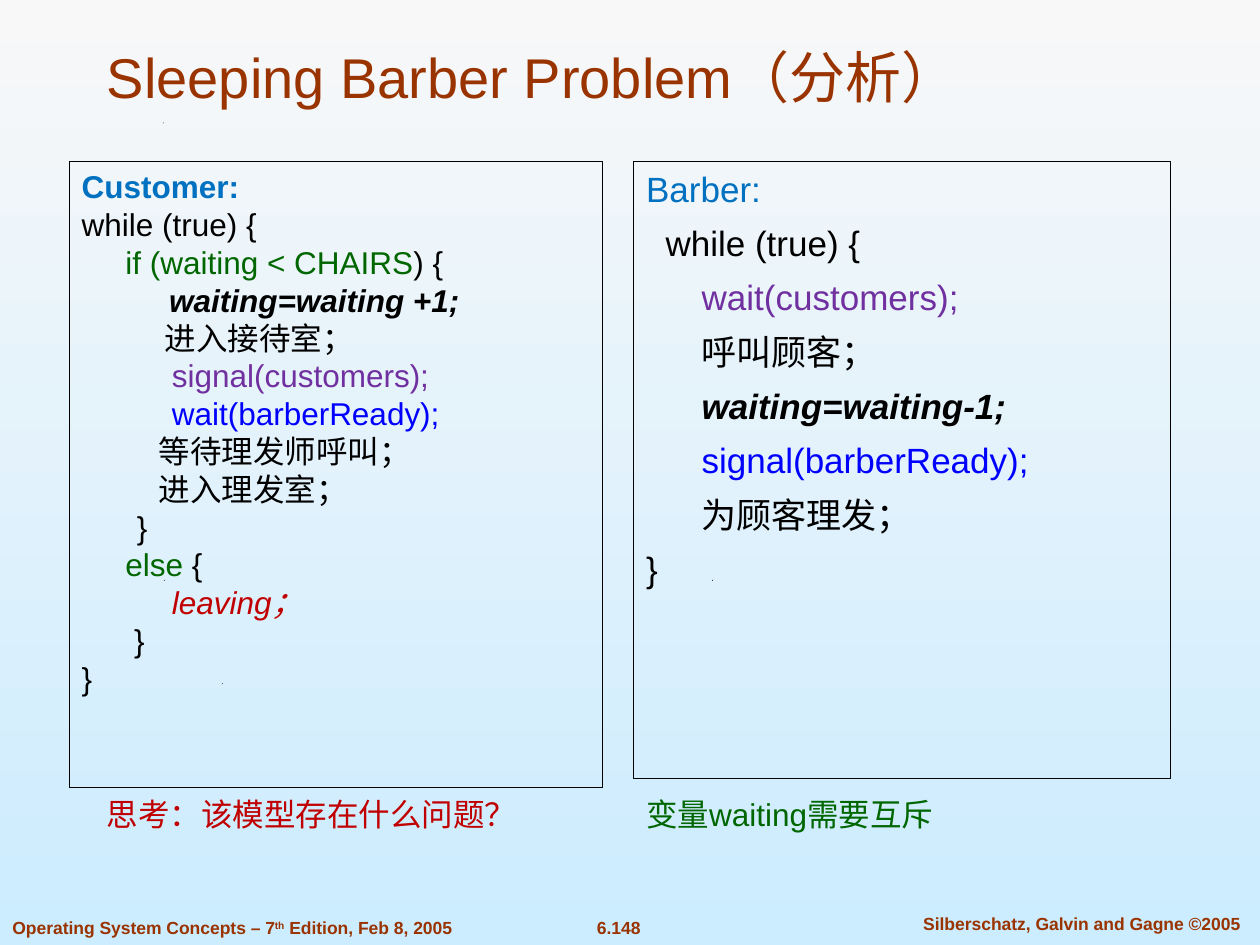
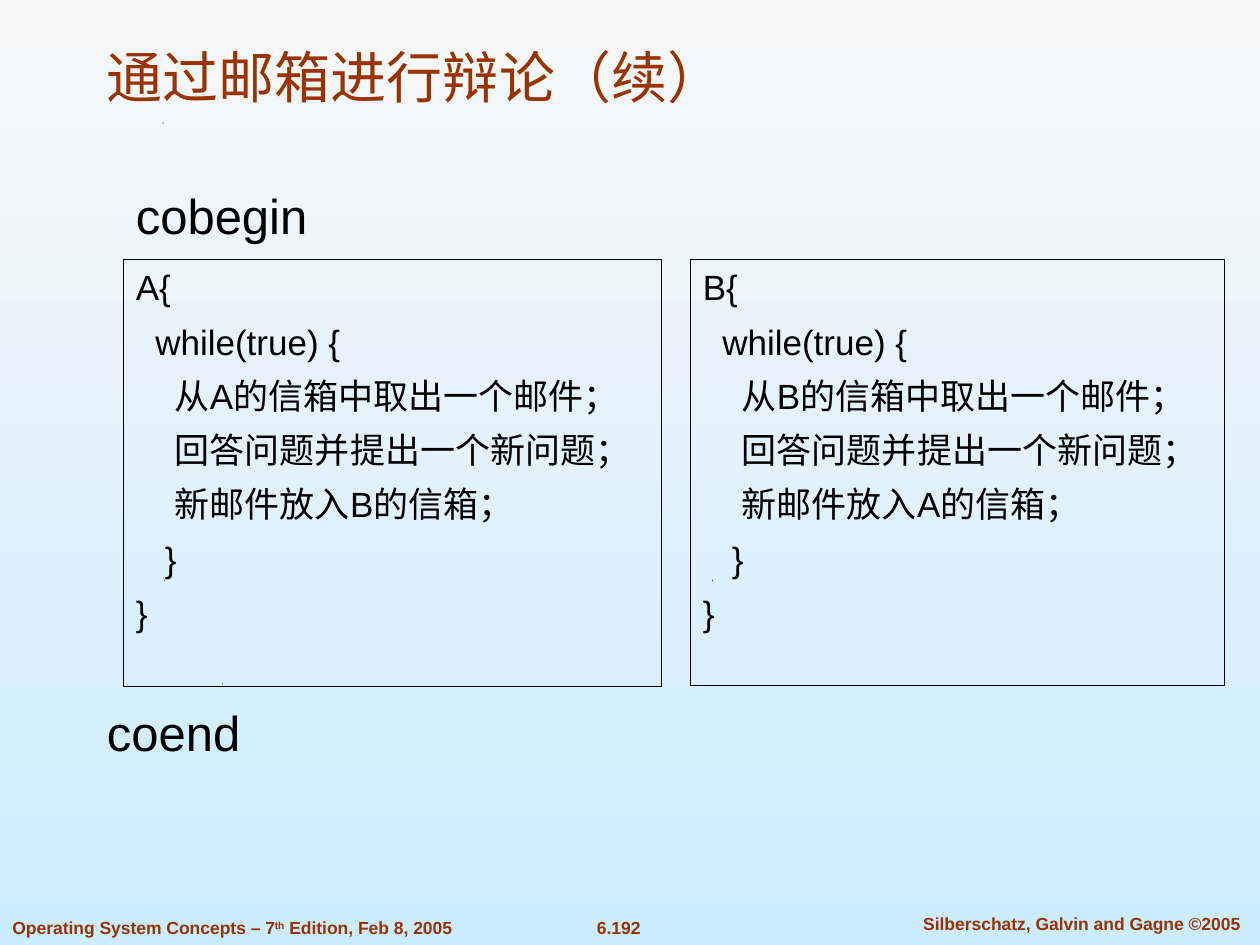
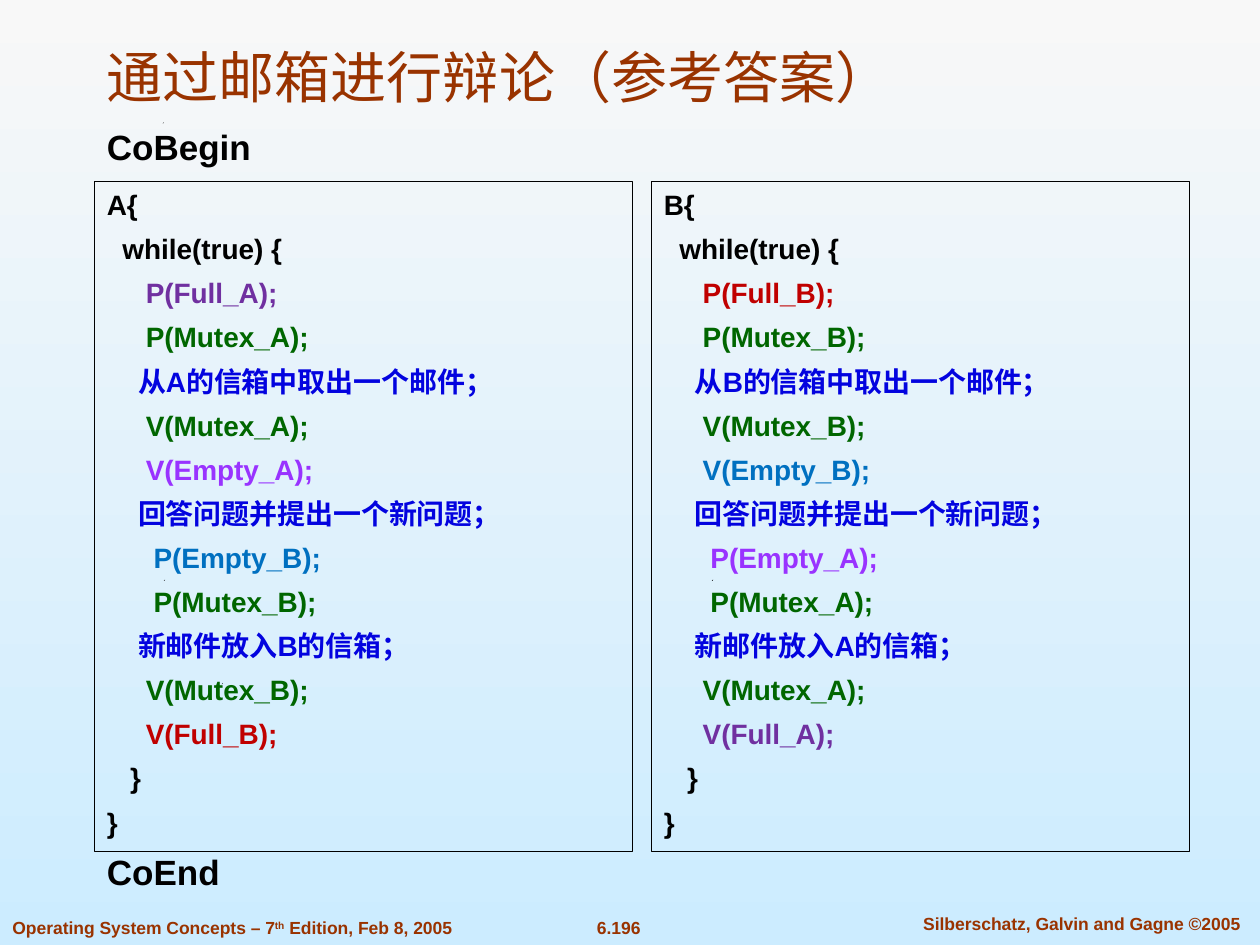
from dataclasses import dataclass
from pptx import Presentation
from pptx.dml.color import RGBColor
from pptx.enum.shapes import MSO_SHAPE
from pptx.enum.text import MSO_ANCHOR, PP_ALIGN
from pptx.util import Inches, Pt


@dataclass(frozen=True)
class Theme:
    font: str = "Arial"
    sky_top: str = "F8F8F8"
    sky_bottom: str = "CCECFF"
    rust: str = "993300"
    black: str = "000000"
    azure: str = "0070C0"
    green: str = "006600"
    purple: str = "7030A0"
    violet: str = "9933FF"
    red: str = "C00000"
    blue: str = "0000FF"
    navy: str = "0303DF"
    title: int = 32
    keyword: int = 28
    body: int = 20
    note: int = 18
    code: int = 16
    footer: int = 10
    leading: float = 1.2
    space_width: float = 0.278
    border: float = 0.75


THEME = Theme()
WIDTH, HEIGHT = 10, 7.5
TITLE_BOX = (0.75, 0.25, 8.83, 0.67)
SPECKS = [(1.76, 5.42), (1.3, 4.6), (5.65, 4.6), (1.29, 0.97)]
SPECK_SIZE = 0.01
BOLD = {"bold": True}
ITALIC = {"italic": True}
STRONG = {"bold": True, "italic": True}


def line(indent, text, color=THEME.black, style=None):
    return indent, [(text, color, style or {})]


CUSTOMER = [
    line(0, "Customer:", THEME.azure, BOLD),
    line(0, "while (true) {"),
    (5, [("if (waiting < CHAIRS", THEME.green, {}), (") {", THEME.black, {})]),
    line(10, "waiting=waiting +1;", style=STRONG),
    line(9.5, "进入接待室；"),
    line(10.3, "signal(customers);", THEME.purple),
    line(10.3, "wait(barberReady);", THEME.blue),
    line(8.8, "等待理发师呼叫；"),
    line(8.8, "进入理发室；"),
    line(6.3, "}"),
    (5, [("else ", THEME.green, {}), ("{", THEME.black, {})]),
    line(10.3, "leaving；", THEME.red, ITALIC),
    line(6, "}"),
    line(0, "}"),
]
BARBER = [
    line(0, "Barber:", THEME.azure),
    line(2, "while (true) {"),
    line(5.7, "wait(customers);", THEME.purple),
    line(5.7, "呼叫顾客；"),
    line(5.7, "waiting=waiting-1;", style=STRONG),
    line(5.7, "signal(barberReady);", THEME.blue),
    line(5.7, "为顾客理发；"),
    line(0, "}"),
]
SEMAPHORE_COLORS = {
    "Full_A": THEME.purple, "Full_B": THEME.red,
    "Empty_A": THEME.violet, "Empty_B": THEME.azure,
    "Mutex_A": THEME.green, "Mutex_B": THEME.green,
}


def debater(me, other):
    return [
        line(0, f"{me}{{"),
        line(2, "while(true) {"),
        line(4, f"从{me}的信箱中取出一个邮件；"),
        line(4, "回答问题并提出一个新问题；"),
        line(4, f"新邮件放入{other}的信箱；"),
        line(3, "}"),
        line(0, "}"),
    ]


def guarded_debater(me, other):
    def call(operation, semaphore, indent=5):
        color = SEMAPHORE_COLORS[semaphore]
        return line(indent, f"{operation}({semaphore});", color, BOLD)

    def step(text):
        return line(4, text, THEME.navy, BOLD)

    return [
        line(0, f"{me}{{", style=BOLD),
        line(2, "while(true) {", style=BOLD),
        call("P", f"Full_{me}"),
        call("P", f"Mutex_{me}"),
        step(f"从{me}的信箱中取出一个邮件；"),
        call("V", f"Mutex_{me}"),
        call("V", f"Empty_{me}"),
        step("回答问题并提出一个新问题；"),
        call("P", f"Empty_{other}", 6),
        call("P", f"Mutex_{other}", 6),
        step(f"新邮件放入{other}的信箱；"),
        call("V", f"Mutex_{other}"),
        call("V", f"Full_{other}"),
        line(3, "}", style=BOLD),
        line(0, "}", style=BOLD),
    ]


PAGES = [
    {
        "title": "Sleeping Barber Problem（分析）",
        "number": "6.148",
        "panels": [
            ((0.55, 1.28, 4.23, 4.97), CUSTOMER, THEME.note, 0),
            ((5.03, 1.28, 4.26, 4.9), BARBER, THEME.body, 7),
        ],
        "labels": [
            ((0.75, 6.26, 3.84, 0.4), line(0, "思考：该模型存在什么问题？", THEME.red), THEME.note),
            ((5.03, 6.26, 3.84, 0.4), line(0, "变量waiting需要互斥", THEME.green), THEME.note),
        ],
    },
    {
        "title": "通过邮箱进行辩论（续）",
        "number": "6.192",
        "panels": [
            ((0.98, 2.06, 4.27, 3.39), debater("A", "B"), THEME.body, 7),
            ((5.48, 2.06, 4.24, 3.38), debater("B", "A"), THEME.body, 7),
        ],
        "labels": [
            ((0.98, 1.42, 3.65, 0.64), line(0, "cobegin"), THEME.keyword),
            ((0.75, 5.53, 3.65, 0.64), line(0, "coend"), THEME.keyword),
        ],
    },
    {
        "title": "通过邮箱进行辩论（参考答案）",
        "number": "6.196",
        "panels": [
            ((0.75, 1.44, 4.27, 5.32), guarded_debater("A", "B"), THEME.code, 6),
            ((5.17, 1.44, 4.27, 5.32), guarded_debater("B", "A"), THEME.code, 6),
        ],
        "labels": [
            ((0.75, 0.95, 3.65, 0.64), line(0, "CoBegin", style=BOLD), THEME.body),
            ((0.75, 6.7, 3.65, 0.48), line(0, "CoEnd", style=BOLD), THEME.body),
        ],
    },
]


def footers(number):
    raised = {"bold": True, "baseline": 30000}
    edition = (0, [
        ("Operating System Concepts – 7", THEME.rust, BOLD),
        ("th", THEME.rust, raised),
        (" Edition, Feb 8, 2005", THEME.rust, BOLD),
    ])
    return [
        ((0, 7.23, 4.11, 0.27), edition, PP_ALIGN.LEFT),
        ((4.59, 7.23, 0.64, 0.27), line(0, number, THEME.rust, BOLD), PP_ALIGN.CENTER),
        ((7.1, 7.2, 2.97, 0.27),
         line(0, "Silberschatz, Galvin and Gagne ©2005", THEME.rust, BOLD), PP_ALIGN.CENTER),
    ]


def write(box, lines, size, gap=0, align=PP_ALIGN.LEFT, anchor=MSO_ANCHOR.TOP):
    frame = box.text_frame
    frame.word_wrap = True
    frame.vertical_anchor = anchor
    for index, (indent, spans) in enumerate(lines):
        para = frame.add_paragraph() if index else frame.paragraphs[0]
        layout = {
            "alignment": align,
            "line_spacing": Pt(size * THEME.leading),
            "space_before": Pt(gap if index else 0),
        }
        for name, value in layout.items():
            setattr(para, name, value)
        margin = Pt(indent * THEME.space_width * size)
        para._p.get_or_add_pPr().set("marL", str(int(margin)))
        for text, color, style in spans:
            span = para.add_run()
            span.text = text
            look = {"name": THEME.font, "size": Pt(size), "bold": False, **style}
            baseline = look.pop("baseline", None)
            for name, value in look.items():
                setattr(span.font, name, value)
            span.font.color.rgb = RGBColor.from_string(color)
            if baseline:
                span._r.get_or_add_rPr().set("baseline", str(baseline))


def add_label(page, place, content, size, **options):
    box = page.shapes.add_textbox(*map(Inches, place))
    write(box, [content], size, **options)


def add_panel(page, place, lines, size, gap):
    box = page.shapes.add_shape(MSO_SHAPE.RECTANGLE, *map(Inches, place))
    box.shadow.inherit = False
    box.fill.background()
    box.line.color.rgb = RGBColor.from_string(THEME.black)
    box.line.width = Pt(THEME.border)
    write(box, lines, size, gap)


def add_speck(page, left, top):
    builder = page.shapes.build_freeform(Inches(left), Inches(top + SPECK_SIZE))
    corner = (Inches(left + SPECK_SIZE), Inches(top))
    middle = (Inches(left + SPECK_SIZE / 2), Inches(top + SPECK_SIZE))
    builder.add_line_segments([corner, middle], close=True)
    speck = builder.convert_to_shape()
    speck.shadow.inherit = False
    speck.fill.solid()
    speck.fill.fore_color.rgb = RGBColor.from_string(THEME.black)
    speck.line.fill.background()


def paint_background(master):
    fill = master.background.fill
    fill.gradient()
    fill.gradient_angle = 270
    for stop, color in zip(fill.gradient_stops, (THEME.sky_top, THEME.sky_bottom)):
        stop.color.rgb = RGBColor.from_string(color)


def add_page(deck, content):
    page = deck.slides.add_slide(deck.slide_layouts[6])
    for left, top in SPECKS:
        add_speck(page, left, top)
    for place, text, align in footers(content["number"]):
        add_label(page, place, text, THEME.footer, align=align)
    heading = line(0, content["title"], THEME.rust)
    add_label(page, TITLE_BOX, heading, THEME.title, anchor=MSO_ANCHOR.BOTTOM)
    for panel in content["panels"]:
        add_panel(page, *panel)
    for label in content["labels"]:
        add_label(page, *label)


def main():
    deck = Presentation()
    deck.slide_width, deck.slide_height = Inches(WIDTH), Inches(HEIGHT)
    paint_background(deck.slide_master)
    for content in PAGES:
        add_page(deck, content)
    deck.save("out.pptx")


if __name__ == "__main__":
    main()
